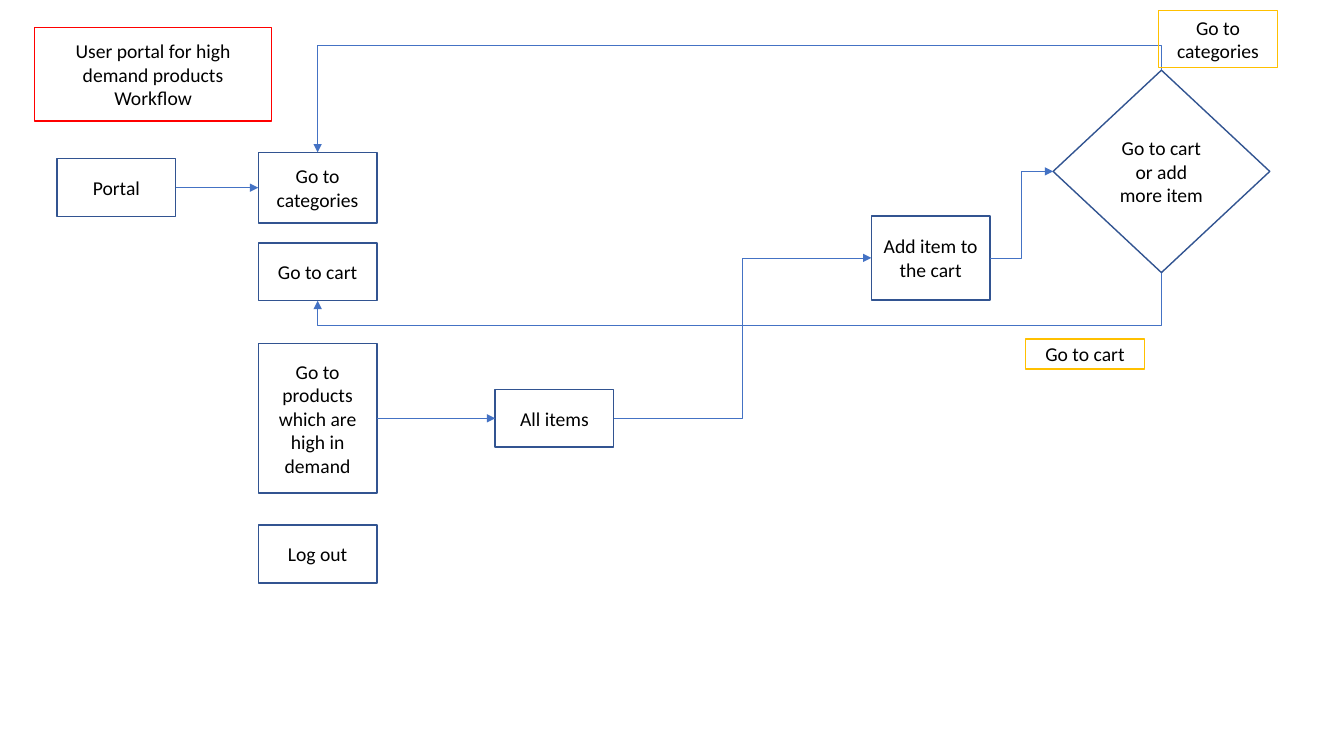
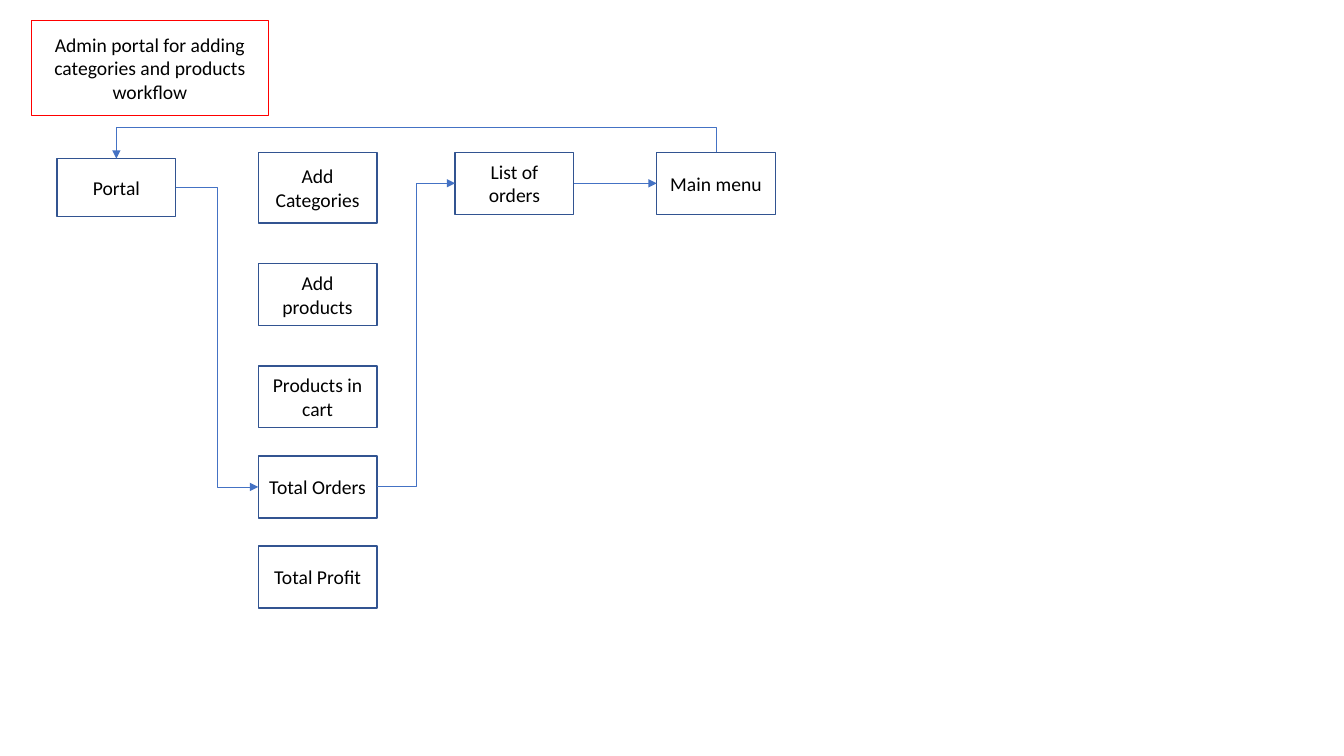
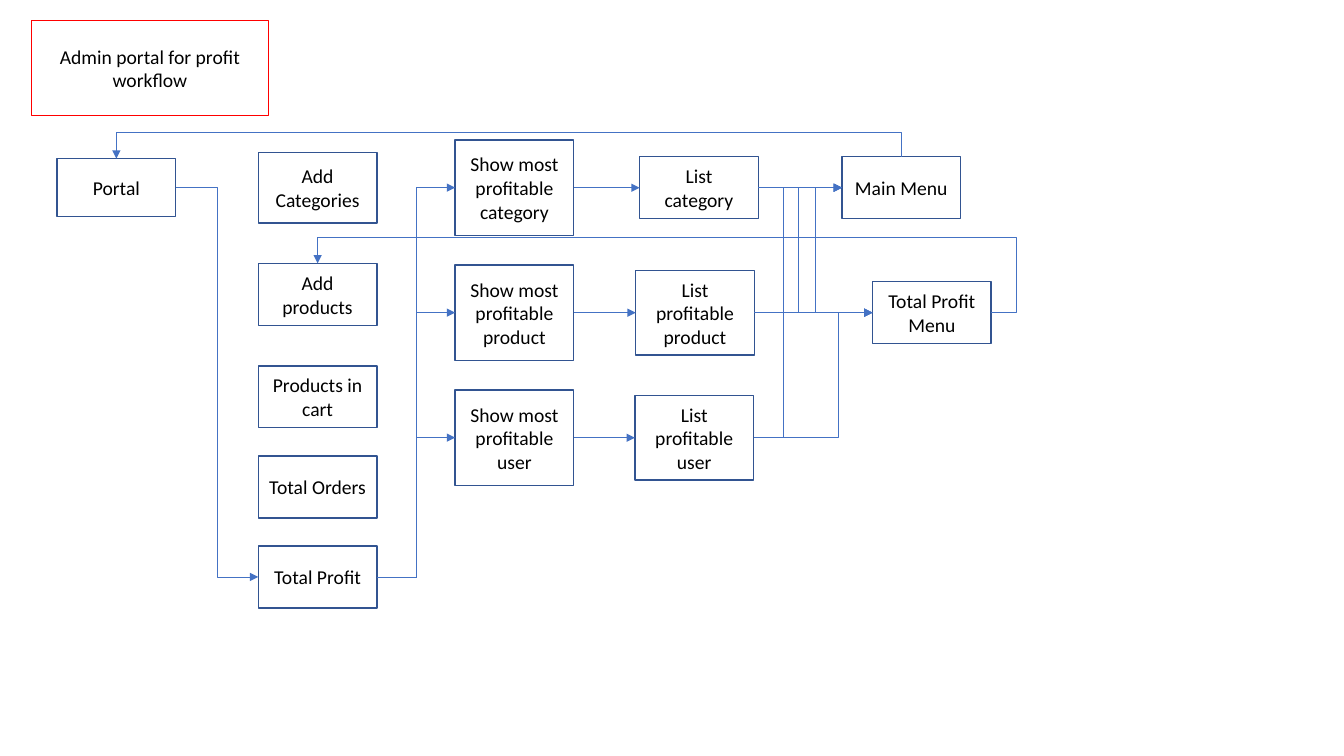
from dataclasses import dataclass
from enum import IntEnum

from lxml import etree
from pptx import Presentation
from pptx import util as u
from pptx.dml import color
from pptx.enum import shapes, text
from pptx.oxml import ns


@dataclass(frozen=True)
class Theme:
    font: str = "Calibri"
    size: float = 14
    ink: str = "000000"
    outline: str = "325491"
    title: str = "FF0000"
    tag: str = "FFC000"
    arrow: str = "4472C4"
    outline_width: float = 1
    arrow_width: float = 0.5


class Side(IntEnum):
    TOP = 0
    LEFT = 1
    BOTTOM = 2
    RIGHT = 3


THEME = Theme()
BOX_WIDTH = 2.99
BOX_HEIGHT = 1.56
LOW_HEIGHT = 1.46
MENU_LEFT = 6.51
DETAIL_LEFT = 11.47
RECT = shapes.MSO_SHAPE.RECTANGLE
DIAMOND = shapes.MSO_SHAPE.DIAMOND
STRAIGHT = shapes.MSO_CONNECTOR.STRAIGHT
ELBOW = shapes.MSO_CONNECTOR.ELBOW


def rgb(value):
    return color.RGBColor.from_string(value)


def add_box(slide, label, left, top, height=BOX_HEIGHT, width=BOX_WIDTH,
            line=THEME.outline, kind=RECT):
    box = slide.shapes.add_shape(kind, u.Cm(left), u.Cm(top), u.Cm(width), u.Cm(height))
    box.shadow.inherit = False
    box.fill.background()
    box.line.color.rgb = rgb(line)
    box.line.width = u.Pt(THEME.outline_width)
    frame = box.text_frame
    frame.word_wrap = True
    frame.vertical_anchor = text.MSO_ANCHOR.MIDDLE
    frame.text = label
    for para in frame.paragraphs:
        para.alignment = text.PP_ALIGN.CENTER
        for span in para.runs:
            span.font.name = THEME.font
            span.font.size = u.Pt(THEME.size)
            span.font.color.rgb = rgb(THEME.ink)
    return box


def add_portal(slide):
    return add_box(slide, "Portal", 1.44, 4, LOW_HEIGHT)


def add_arrow(slide, kind, start, start_side, end, end_side):
    arrow = slide.shapes.add_connector(kind, 0, 0, 0, 0)
    arrow.begin_connect(start, start_side)
    arrow.end_connect(end, end_side)
    arrow.line.color.rgb = rgb(THEME.arrow)
    arrow.line.width = u.Pt(THEME.arrow_width)
    properties = arrow._element.spPr
    head = etree.SubElement(properties.find(ns.qn("a:ln")), ns.qn("a:tailEnd"))
    head.set("type", "triangle")
    etree.SubElement(properties, ns.qn("a:effectLst"))
    return arrow


def set_bends(arrow, *bends):
    geometry = arrow._element.spPr.find(ns.qn("a:prstGeom"))
    geometry.set("prst", f"bentConnector{len(bends) + 2}")
    guides = geometry.find(ns.qn("a:avLst"))
    for number, bend in enumerate(bends, 1):
        guide = etree.SubElement(guides, ns.qn("a:gd"))
        guide.set("name", f"adj{number}")
        guide.set("fmla", f"val {round(bend * 100000)}")


def link(slide, start, end):
    return add_arrow(slide, STRAIGHT, start, Side.RIGHT, end, Side.LEFT)


def step(slide, start, end, bend=0.5):
    arrow = add_arrow(slide, ELBOW, start, Side.RIGHT, end, Side.LEFT)
    set_bends(arrow, bend)
    return arrow


def loop_back(slide, start, end, side, rail):
    arrow = add_arrow(slide, ELBOW, start, side, end, side)
    drop = arrow.end_y - arrow.begin_y
    span = arrow.begin_x - arrow.end_x
    middle_x = (arrow.begin_x + arrow.end_x) // 2
    middle_y = (arrow.begin_y + arrow.end_y) // 2
    set_bends(arrow, (u.Cm(rail) - arrow.begin_y) / drop)
    arrow.left, arrow.top = middle_x - drop // 2, middle_y - span // 2
    arrow.width, arrow.height = drop, span
    upward = side == Side.TOP
    frame = arrow._element.spPr.find(ns.qn("a:xfrm"))
    frame.set("rot", "16200000" if upward else "5400000")
    for flip in ("flipH", "flipV"):
        frame.set(flip, "1" if upward else "0")


def loop_around(slide, start, end, rail_x, rail_y):
    arrow = add_arrow(slide, ELBOW, start, Side.RIGHT, end, Side.TOP)
    set_bends(arrow,
              (u.Cm(rail_x) - arrow.begin_x) / (arrow.end_x - arrow.begin_x),
              (u.Cm(rail_y) - arrow.begin_y) / (arrow.end_y - arrow.begin_y))


def add_admin_menu(slide, title):
    add_box(slide, title, 0.79, 0.51, 2.41, 5.98, THEME.title)
    portal = add_portal(slide)
    add_box(slide, "Add Categories", MENU_LEFT, 3.84, 1.78)
    entries = (("Add products", 6.64), ("Products in cart", 9.22),
               ("Total Orders", 11.49), ("Total Profit", 13.76))
    menu = {label: add_box(slide, label, MENU_LEFT, top) for label, top in entries}
    return portal, menu


def build_user_portal(slide):
    add_box(slide, "User portal for high demand products\nWorkflow",
            0.87, 0.69, 2.36, 5.98, THEME.title)
    portal = add_portal(slide)
    categories = add_box(slide, "Go to categories", MENU_LEFT, 3.84, 1.78)
    cart = add_box(slide, "Go to cart", MENU_LEFT, 6.12, LOW_HEIGHT)
    products = add_box(slide, "Go to products which are high in demand",
                       MENU_LEFT, 8.66, 3.76)
    add_box(slide, "Log out", MENU_LEFT, 13.23, LOW_HEIGHT)
    items = add_box(slide, "All items", 12.48, 9.81, LOW_HEIGHT)
    add_item = add_box(slide, "Add item to the cart", 21.96, 5.44, 2.12)
    choice = add_box(slide, "Go to cart or add more item", 26.54, 1.77, 5.1, 5.46,
                     kind=DIAMOND)
    link(slide, portal, categories)
    link(slide, products, items)
    step(slide, items, add_item)
    step(slide, add_item, choice)
    loop_back(slide, choice, categories, Side.TOP, 1.14)
    loop_back(slide, choice, cart, Side.BOTTOM, 8.19)
    add_box(slide, "Go to categories", 29.2, 0.27, 1.43, line=THEME.tag)
    add_box(slide, "Go to cart", 25.85, 8.54, 0.76, line=THEME.tag)


def build_admin_orders(slide):
    portal, menu = add_admin_menu(
        slide, "Admin portal for adding categories and products\nworkflow")
    orders = add_box(slide, "List of orders", DETAIL_LEFT, 3.84)
    main_menu = add_box(slide, "Main menu", 16.55, 3.84)
    step(slide, portal, menu["Total Orders"])
    step(slide, menu["Total Orders"], orders)
    link(slide, orders, main_menu)
    loop_back(slide, main_menu, portal, Side.TOP, 3.2)


def build_admin_profit(slide):
    portal, menu = add_admin_menu(slide, "Admin portal for profit workflow")
    step(slide, portal, menu["Total Profit"])
    rows = (("category", "List category", 16.12, BOX_HEIGHT),
            ("product", "List profitable product", 16.02, 2.14),
            ("user", "List profitable user", 16, 2.14))
    middles = [4.73 + 3.15 * row for row in range(len(rows))]
    lists = []
    for (subject, label, left, height), middle in zip(rows, middles):
        show = add_box(slide, f"Show most profitable {subject}",
                       DETAIL_LEFT, middle - 1.2, 2.4)
        listing = add_box(slide, label, left, middle - height / 2, height)
        step(slide, menu["Total Profit"], show)
        link(slide, show, listing)
        lists.append(listing)
    category, product, user = lists
    main_menu = add_box(slide, "Main Menu", 21.22, middles[0] - BOX_HEIGHT / 2)
    profit_menu = add_box(slide, "Total Profit Menu", 21.99, middles[1] - BOX_HEIGHT / 2)
    link(slide, category, main_menu)
    step(slide, category, profit_menu)
    step(slide, product, main_menu)
    link(slide, product, profit_menu)
    step(slide, user, main_menu, 0.34)
    step(slide, user, profit_menu, 0.71)
    loop_back(slide, main_menu, portal, Side.TOP, 3.33)
    loop_around(slide, profit_menu, menu["Add products"], 25.6, 5.99)


def main():
    deck = Presentation()
    deck.slide_width, deck.slide_height = u.Cm(33.87), u.Cm(19.05)
    for build in (build_user_portal, build_admin_orders, build_admin_profit):
        build(deck.slides.add_slide(deck.slide_layouts[6]))
    deck.save("out.pptx")


main()
